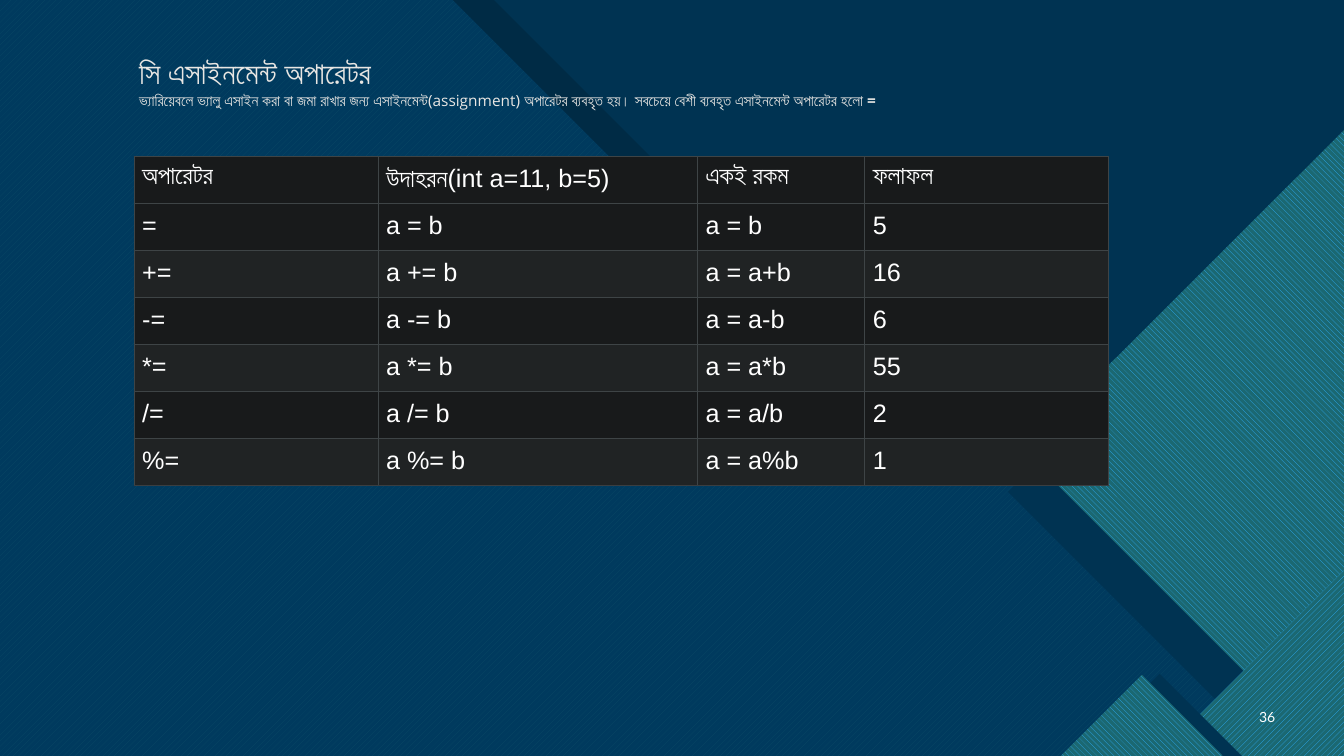
from math import cos, radians, sin

from lxml.etree import SubElement
from pptx import Presentation
from pptx.dml.color import RGBColor
from pptx.enum.dml import MSO_PATTERN
from pptx.enum.text import MSO_ANCHOR, PP_ALIGN
from pptx.oxml.ns import qn
from pptx.util import Pt

WIDTH, HEIGHT = 960, 540
NAVY, TEAL, SKY = "003352", "1B6872", "2FAFFF"
UP = MSO_PATTERN.WIDE_UPWARD_DIAGONAL
DOWN = MSO_PATTERN.WIDE_DOWNWARD_DIAGONAL


def rgb(value):
    return RGBColor.from_string(value)


def turn(x, y, degrees):
    c, s = cos(radians(degrees)), sin(radians(degrees))
    return x * c - y * s, x * s + y * c


def ledge(left, top, *tail):
    step = 213.84
    return [(left, 0), (top, 0), (top + step, step), (top + 304.56, step),
            *tail, (left, HEIGHT)]


class SlideBuilder:
    white = "FFFFFF"
    grid = "3E4446"
    grid_end = "3A3E41"
    row_fills = ("202324", "181A1B")
    cell_margin = 5.76

    def __init__(self, prs):
        self.slide = prs.slides.add_slide(prs.slide_layouts[6])

    def background(self, color):
        fill = self.slide.background.fill
        fill.solid()
        fill.fore_color.rgb = rgb(color)

    def polygon(self, points, rotation, fore, back=None, pattern=None, alpha=None):
        local = [turn(x, y, -rotation) for x, y in points]
        xs, ys = zip(*local)
        mid_x, mid_y = (min(xs) + max(xs)) / 2, (min(ys) + max(ys)) / 2
        center_x, center_y = turn(mid_x, mid_y, rotation)
        placed = [(Pt(x - mid_x + center_x), Pt(y - mid_y + center_y)) for x, y in local]
        builder = self.slide.shapes.build_freeform(*placed[0])
        builder.add_line_segments(placed[1:], close=True)
        sp = builder.convert_to_shape()
        sp.rotation = rotation
        sp.shadow.inherit = False
        sp.line.fill.background()
        if pattern:
            sp.fill.patterned()
            sp.fill.pattern = pattern
            sp.fill.back_color.rgb = rgb(back)
        else:
            sp.fill.solid()
        sp.fill.fore_color.rgb = rgb(fore)
        if alpha:
            color = next(sp.element.iter(qn("a:srgbClr")))
            SubElement(color, qn("a:alpha"), val=str(alpha * 1000))

    def text(self, box, paragraphs, font, color, margins=(7.2, 3.6), align=PP_ALIGN.LEFT):
        sp = self.slide.shapes.add_textbox(*map(Pt, box))
        tf = sp.text_frame
        tf.word_wrap = True
        tf.vertical_anchor = MSO_ANCHOR.MIDDLE
        tf.margin_left = tf.margin_right = Pt(margins[0])
        tf.margin_top = tf.margin_bottom = Pt(margins[1])
        for i, (size, plain, bold) in enumerate(paragraphs):
            p = tf.add_paragraph() if i else tf.paragraphs[0]
            p.alignment = align
            self.font(p, font, size, color)
            p.add_run().text = plain
            if bold:
                r = p.add_run()
                r.text = bold
                r.font.bold = True

    def font(self, p, name, size, color):
        p.font.name = name
        p.font.size = Pt(size)
        p.font.color.rgb = rgb(color)

    def border(self, cell, side, color):
        ln = SubElement(cell._tc.get_or_add_tcPr(), qn(f"a:ln{side}"), w=str(Pt(0.75)))
        SubElement(SubElement(ln, qn("a:solidFill")), qn("a:srgbClr"), val=color)

    def table(self, left, top, widths, row_height, rows):
        frame = self.slide.shapes.add_table(
            len(rows), len(widths), Pt(left), Pt(top),
            Pt(sum(widths)), Pt(row_height * len(rows)))
        table = frame.table
        table.first_row = table.horz_banding = False
        for column, width in zip(table.columns, widths):
            column.width = Pt(width)
        for i, row in enumerate(rows):
            table.rows[i].height = Pt(row_height)
            last = i == len(rows) - 1
            for j, value in enumerate(row):
                cell = table.cell(i, j)
                for side in "LRTB":
                    self.border(cell, side, self.grid_end if last and side == "B" else self.grid)
                cell.fill.solid()
                cell.fill.fore_color.rgb = rgb(self.row_fills[i % 2 or i == 0])
                cell.margin_left = cell.margin_right = Pt(self.cell_margin)
                cell.margin_top = cell.margin_bottom = Pt(self.cell_margin)
                p = cell.text_frame.paragraphs[0]
                p.text = value
                self.font(p, "Arial", 18, self.white)


def main():
    prs = Presentation()
    prs.slide_width, prs.slide_height = Pt(WIDTH), Pt(HEIGHT)
    s = SlideBuilder(prs)
    s.background(NAVY)

    corner = (WIDTH, HEIGHT)
    s.polygon(ledge(30.24, 352.8, (WIDTH, 516.24), corner), 270, "000000")
    s.polygon(ledge(0, 323.28, (954, HEIGHT)), 270, "47C3D3", "0065A4", UP)
    s.polygon(ledge(0, 500.4, (WIDTH, 369.36), corner), 270, NAVY, alpha=85)

    s.polygon([(WIDTH, 111.6), (WIDTH, 509.8), (878.4, 509.8), (720, 351.4)], 45, NAVY)
    s.polygon([(WIDTH, 92.9), (WIDTH, 530.6), (939.6, 530.6), (730.8, 321.8)],
              135, SKY, TEAL, DOWN)
    s.polygon([(WIDTH, 442), corner, (862, HEIGHT)], 45, NAVY)
    s.polygon([(WIDTH, 407.5), corner, (827.5, HEIGHT)], 135, SKY, TEAL, UP)
    s.polygon([(887, HEIGHT), (828.3, 481.3), (769.6, HEIGHT)], 225, NAVY)
    s.polygon([(757.6, HEIGHT), (815.6, 482), (873.6, HEIGHT)], 135, SKY, TEAL, DOWN)

    s.text((886.3, 497.5, 31.7, 28.8), [(10, "36", "")], "Lato", s.white,
           align=PP_ALIGN.RIGHT)

    operators = [("=", "a = b", "5"), ("+=", "a = a+b", "16"), ("-=", "a = a-b", "6"),
                 ("*=", "a = a*b", "55"), ("/=", "a = a/b", "2"), ("%=", "a = a%b", "1")]
    rows = [("অপারেটর", "উদাহরন(int a=11, b=5)", "একই রকম", "ফলাফল")]
    rows += [(op, f"a {op} b", same, result) for op, same, result in operators]
    s.table(95.8, 111.6, (174.2, 228.2, 119.5, 174.2), 33.6, rows)

    s.text((99.4, 24.5, 692.6, 67.7), [
        (22, "সি এসাইনমেন্ট অপারেটর", ""),
        (11, "ভ্যারিয়েবলে ভ্যালু এসাইন করা বা জমা রাখার জন্য এসাইনমেন্ট(assignment) "
             "অপারেটর ব্যবহৃত হয়। সবচেয়ে বেশী ব্যবহৃত এসাইনমেন্ট অপারেটর হলো ", "="),
    ], "Open Sans", "E8E6E3", margins=(0, 7.2))

    prs.save("out.pptx")


if __name__ == "__main__":
    main()
